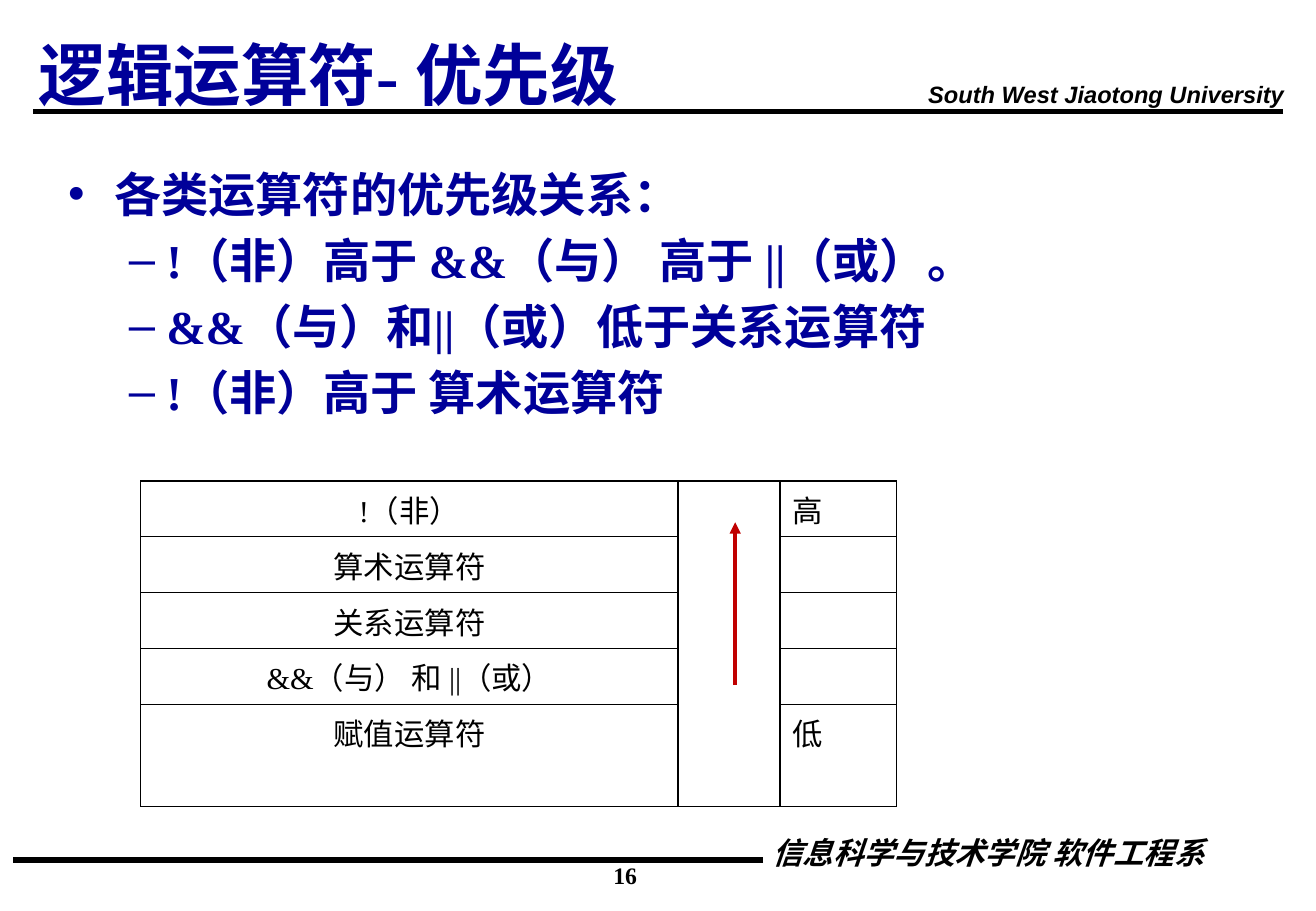
from lxml import etree
from pptx import Presentation
from pptx.dml.color import RGBColor
from pptx.enum.shapes import MSO_CONNECTOR
from pptx.enum.text import MSO_ANCHOR, MSO_AUTO_SIZE, PP_ALIGN
from pptx.oxml import parse_xml
from pptx.oxml.ns import nsdecls, qn
from pptx.util import Inches, Pt

STRAIGHT = MSO_CONNECTOR.STRAIGHT
LEFT, CENTER, RIGHT = PP_ALIGN.LEFT, PP_ALIGN.CENTER, PP_ALIGN.RIGHT
MIDDLE, TOP = MSO_ANCHOR.MIDDLE, MSO_ANCHOR.TOP
NO_FIT = MSO_AUTO_SIZE.NONE
TIMES, ARIAL, CJK = "Times New Roman", "Arial", "Noto Sans CJK SC"
BLACK, NAVY, RED = "000000", "000099", "C00000"


def style(p, size, color, font=TIMES, bold=False, italic=False, align=LEFT):
    p.alignment = align
    for r in p.runs:
        r.font.size, r.font.name = Pt(size), font
        r.font.bold, r.font.italic = bold, italic
        r.font.color.rgb = RGBColor.from_string(color)
        etree.SubElement(r.font._element, qn("a:ea")).set("typeface", CJK)


def place(shape, x, y, w, h):
    shape.left, shape.top = Inches(x), Inches(y)
    shape.width, shape.height = Inches(w), Inches(h)


prs = Presentation()
prs.slide_width, prs.slide_height = Inches(10.83), Inches(7.5)
s = prs.slides.add_slide(prs.slide_layouts[1])

# Header rule, footer rule and priority arrow
for x1, y1, x2, y2, color, width in [
    (10.56, 0.92, 0.27, 0.92, BLACK, 3),
    (6.28, 7.08, 0.11, 7.08, BLACK, 3),
    (6.05, 5.64, 6.05, 4.3, RED, 2.25),
]:
    line = s.shapes.add_connector(STRAIGHT, Inches(x1), Inches(y1), Inches(x2), Inches(y2))
    line.line.color.rgb = RGBColor.from_string(color)
    line.line.width = Pt(width)
    etree.SubElement(line._element.spPr, qn("a:effectLst"))
arrow = line
etree.SubElement(arrow.line._get_or_add_ln(), qn("a:tailEnd")).set("type", "triangle")

# University, department and page number
for text, box, size, font, italic, align, spacing, wrap in [
    ("South West Jiaotong University", (7.54, 0.67, 3.14, 0.27), 14, ARIAL, True, LEFT, 0.7, False),
    ("信息科学与技术学院 软件工程系", (5.26, 6.9, 4.75, 0.31), 18, CJK, True, RIGHT, 0.7, True),
    ("16", (3.43, 7.04, 3.43, 0.33), 14, TIMES, False, CENTER, 1.0, True),
]:
    tf = s.shapes.add_textbox(*map(Inches, box)).text_frame
    tf.word_wrap = wrap
    tf.text = text
    p = tf.paragraphs[0]
    p.line_spacing = spacing
    style(p, size, BLACK, font, True, italic, align)

# Title
title = s.shapes.title
place(title, 0.22, 0.29, 9.21, 0.63)
tf = title.text_frame
tf.text = "逻辑运算符- 优先级"
tf.vertical_anchor, tf.auto_size = MIDDLE, NO_FIT
style(tf.paragraphs[0], 40, NAVY, bold=True)

# Precedence rules
body = s.placeholders[1]
place(body, 0.46, 1.31, 9.92, 5.36)
tf = body.text_frame
tf.vertical_anchor, tf.auto_size = TOP, NO_FIT
tf.text = "\n".join([
    "各类运算符的优先级关系：",
    "!（非）高于 &&（与） 高于 ||（或）。",
    "&&（与）和||（或）低于关系运算符",
    "!（非）高于 算术运算符",
])
for i, p in enumerate(tf.paragraphs):
    p.level = min(i, 1)
    margin, indent, bullet = [(0.38, -0.38, "•"), (0.81, -0.31, "–")][p.level]
    pPr = p._p.get_or_add_pPr()
    pPr.set("marL", str(Inches(margin)))
    pPr.set("indent", str(Inches(indent)))
    etree.SubElement(pPr, qn("a:buChar")).set("char", bullet)
    p.line_spacing = Pt(33.5)
    p.space_before = Pt(5.6 if i else 0)
    style(p, 28, NAVY, bold=True)

# Precedence table, highest first
operators = ["!（非）", "算术运算符", "关系运算符", "&&（与） 和 ||（或）", "赋值运算符"]
levels = ["高", "", "", "", "低"]
rows = len(operators)
table = s.shapes.add_table(rows, 3, Inches(1.16), Inches(3.96), Inches(6.22), Inches(2.68)).table
table.first_row = table.horz_banding = False
for column, width in zip(table.columns, (4.42, 0.84, 0.96)):
    column.width = Inches(width)
for i, row in enumerate(table.rows):
    row.height = Inches(0.46 if i < rows - 1 else 0.84)
    for cell, text, align in zip(row.cells, (operators[i], "", levels[i]), (CENTER, LEFT, LEFT)):
        cell.text = text
        style(cell.text_frame.paragraphs[0], 18, BLACK, align=align)
        tcPr = cell._tc.get_or_add_tcPr()
        for side in "LRTB":
            outer = (side == "T" and i == 0) or (side == "B" and i == rows - 1)
            tcPr.append(parse_xml(
                f'<a:ln{side} {nsdecls("a")} w="{Pt(1 if outer else 0.75)}"><a:solidFill>'
                f'<a:srgbClr val="{BLACK}"/></a:solidFill></a:ln{side}>'))
        cell.fill.background()
table.cell(0, 1).merge(table.cell(rows - 1, 1))

# Keep the arrow above the table
s.shapes._spTree.append(arrow._element)

prs.save("out.pptx")
